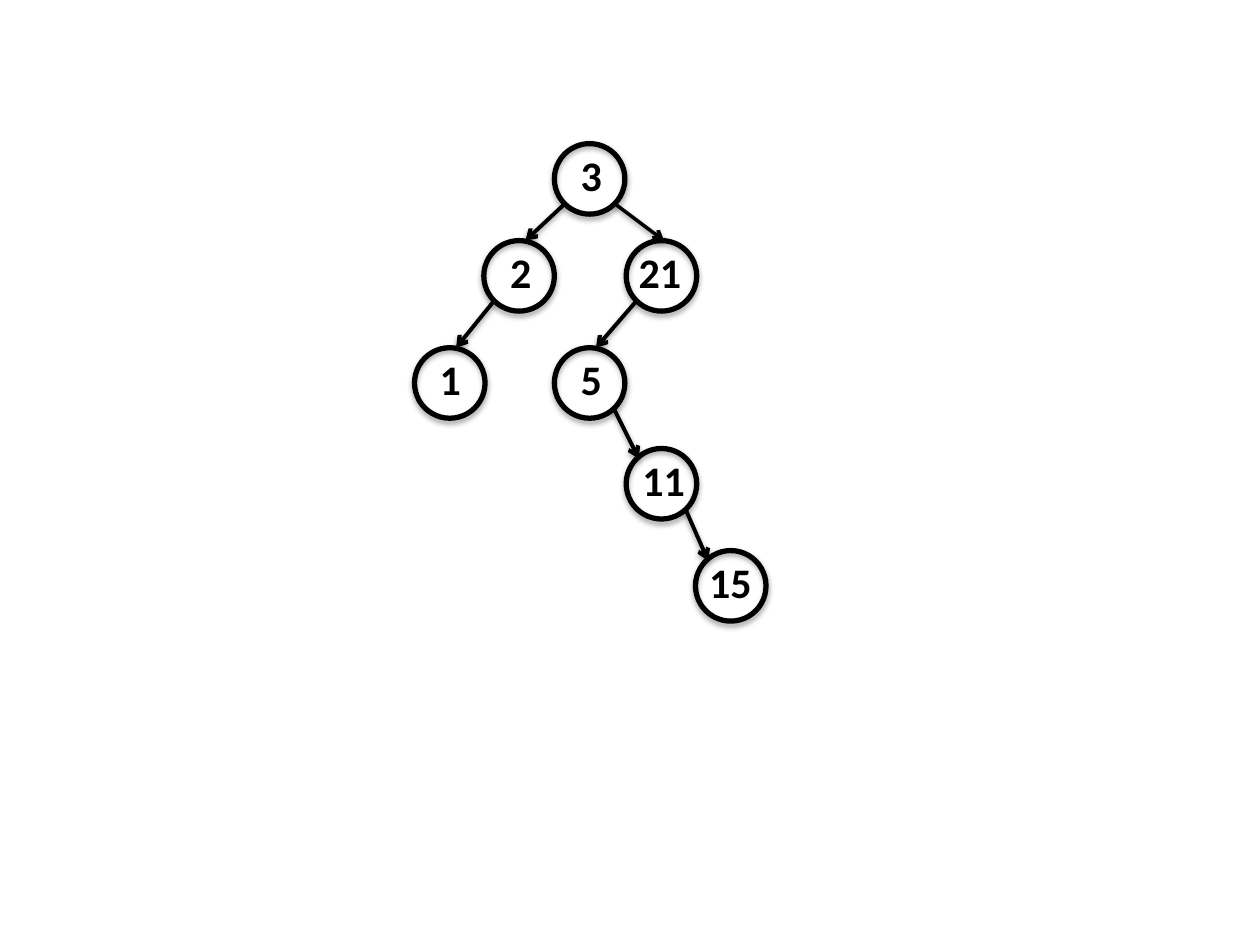
from lxml.etree import SubElement
from pptx import Presentation
from pptx.dml.color import RGBColor
from pptx.enum.shapes import MSO_CONNECTOR, MSO_SHAPE
from pptx.enum.text import MSO_AUTO_SIZE
from pptx.oxml.ns import qn
from pptx.util import Inches, Pt

THEME = {
    "ink": RGBColor(0, 0, 0),
    "font": {"name": "Calibri", "size": Pt(24), "bold": True},
    "frame": {"word_wrap": True, "auto_size": MSO_AUTO_SIZE.SHAPE_TO_FIT_TEXT},
    "ring": Pt(3),
    "edge": Pt(2.25),
    "thin": Pt(2),
}
SIZE = 0.56

# Columns and rows of the tree, from its top left corner
COLS = (0, 0.55, 1.11, 1.68, 2.23)
ROWS = (0, 0.77, 1.62, 2.42, 3.23)

# Value: column, row, label shift, label width
NODES = {
    "3": (2, 0, 0.11, 0.45),
    "2": (1, 1, 0.11, 0.45),
    "21": (3, 1, 0, 0.61),
    "1": (0, 2, 0.1, 0.45),
    "5": (2, 2, 0.11, 0.45),
    "11": (3, 3, 0.03, 0.65),
    "15": (4, 4, 0.01, 0.67),
}

# Where an edge leaves its parent and meets its child
LEFT = ((0.08, 0.48), (0.33, 0))
RIGHT = ((0.47, 0.48), (0.1, 0.08))
TOP = ((0.47, 0.47), (0.3, 0))
EDGES = (
    ("3", "2", LEFT, "edge"),
    ("3", "21", TOP, "thin"),
    ("2", "1", LEFT, "edge"),
    ("21", "5", LEFT, "edge"),
    ("5", "11", RIGHT, "edge"),
    ("11", "15", RIGHT, "edge"),
)


def apply(part, values):
    for key, value in values.items():
        setattr(part, key, value)


def shade(part, dist, alpha):
    """Give a shape or connector a soft shadow straight below it."""
    props = part._element.spPr
    for old in props.findall(qn("a:effectLst")):
        props.remove(old)
    glow = SubElement(SubElement(props, qn("a:effectLst")), qn("a:outerShdw"),
                      blurRad="40000", dist=str(dist), dir="5400000",
                      rotWithShape="0")
    tint = SubElement(glow, qn("a:srgbClr"), val=str(THEME["ink"]))
    SubElement(tint, qn("a:alpha"), val=str(alpha * 1000))


def stroke(part, width):
    part.line.color.rgb = THEME["ink"]
    part.line.width = width


def node(slide, text, x, y, shift, width):
    # Ring
    ring = slide.shapes.add_shape(MSO_SHAPE.OVAL, Inches(x), Inches(y),
                                  Inches(SIZE), Inches(SIZE))
    ring.fill.background()
    stroke(ring, THEME["ring"])
    shade(ring, 23000, 35)
    # Label
    label = slide.shapes.add_textbox(Inches(x + shift), Inches(y),
                                     Inches(width), Inches(0.5))
    apply(label.text_frame, THEME["frame"])
    run = label.text_frame.paragraphs[0].add_run()
    run.text = text
    apply(run.font, THEME["font"])
    run.font.color.rgb = THEME["ink"]


def arrow(slide, start, end, width):
    ends = [Inches(n) for n in (*start, *end)]
    line = slide.shapes.add_connector(MSO_CONNECTOR.STRAIGHT, *ends)
    stroke(line, width)
    SubElement(line.line._get_or_add_ln(), qn("a:tailEnd"), type="arrow")
    shade(line, 20000, 38)


def tree(slide, left, top):
    spots = {text: (left + COLS[col], top + ROWS[row])
             for text, (col, row, _, _) in NODES.items()}
    for text, (_, _, shift, width) in NODES.items():
        node(slide, text, *spots[text], shift, width)
    for head, child, (out, into), width in EDGES:
        start = [a + b for a, b in zip(spots[head], out)]
        end = [a + b for a, b in zip(spots[child], into)]
        arrow(slide, start, end, THEME[width])


deck = Presentation()
apply(deck, {"slide_width": Inches(10), "slide_height": Inches(7.5)})
tree(deck.slides.add_slide(deck.slide_layouts[6]), 3.29, 1.14)
deck.save("out.pptx")
